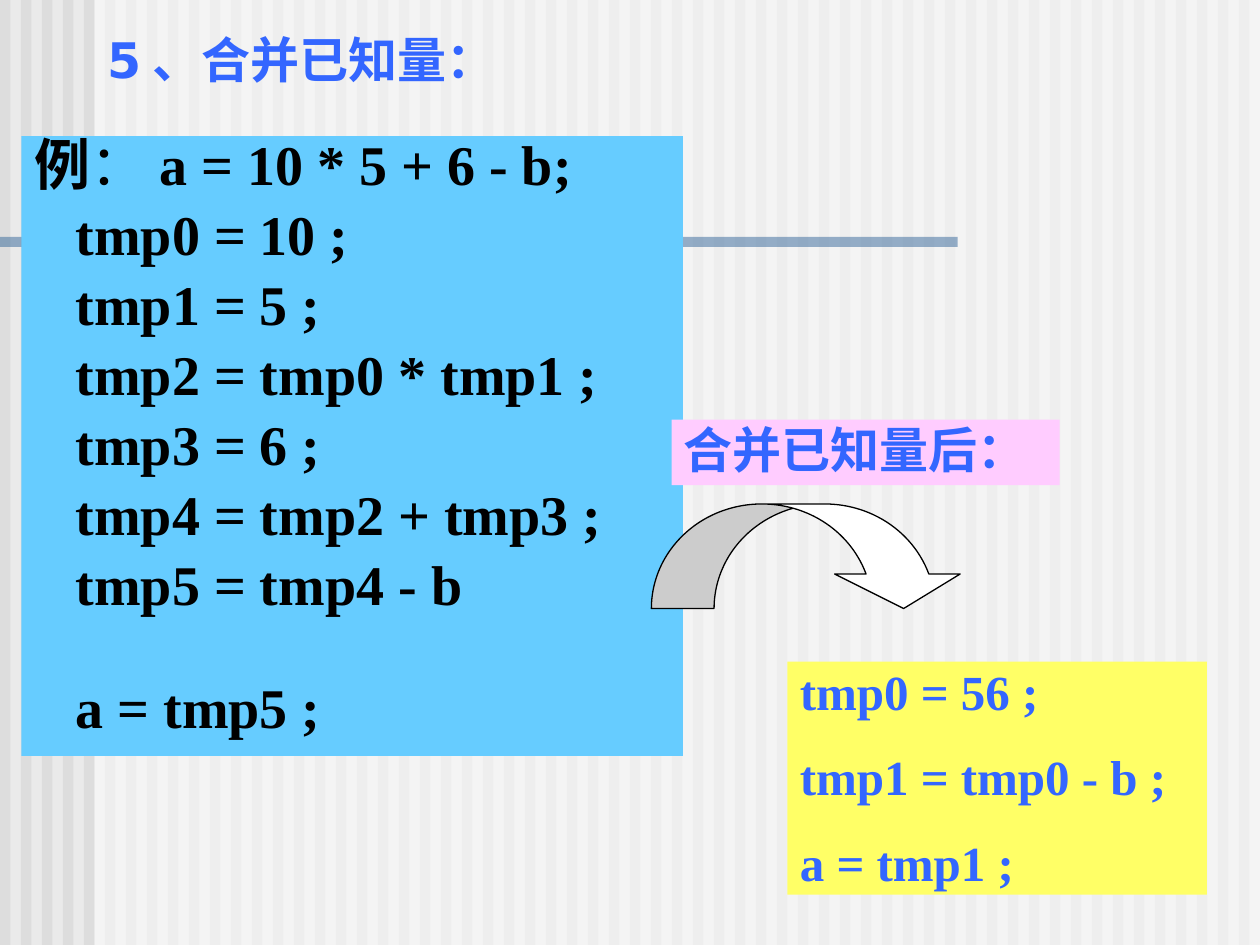
from lxml.etree import SubElement
from pptx import Presentation
from pptx.dml.color import RGBColor
from pptx.enum.shapes import MSO_SHAPE
from pptx.enum.text import MSO_ANCHOR, MSO_AUTO_SIZE, PP_ALIGN
from pptx.oxml.ns import qn
from pptx.util import Inches, Pt

BACKGROUND = RGBColor(0xEA, 0xEA, 0xEA)
STRIPE = RGBColor(0xDD, 0xDD, 0xDD)
WHITE = RGBColor(0xFF, 0xFF, 0xFF)
BLACK = RGBColor(0, 0, 0)
RULE = RGBColor(0x33, 0x66, 0x99)
SKY = RGBColor(0x66, 0xCC, 0xFF)
PINK = RGBColor(0xFF, 0xCC, 0xFF)
YELLOW = RGBColor(0xFF, 0xFF, 0x66)
BLUE = RGBColor(0x33, 0x66, 0xFF)

WIDTH, HEIGHT = 10, 7.5
STRIPES = 60
SERIF = "Times New Roman"
TITLE = "5、合并已知量："
EXAMPLE = [("例", True), ("：", False), ("a = 10 * 5 + 6 - b;", True)]
STEPS = [
    "tmp0 = 10 ;",
    "tmp1 = 5 ;",
    "tmp2 = tmp0 * tmp1 ;",
    "tmp3 = 6 ;",
    "tmp4 = tmp2 + tmp3 ;",
    "tmp5 = tmp4 - b",
    "a = tmp5 ;",
]
RESULT_LABEL = "合并已知量后："
RESULT = ["tmp0 = 56 ;", "tmp1 = tmp0 - b ;", "a = tmp1 ;"]


def place(shape, left, top, width, height):
    shape.left, shape.top = Inches(left), Inches(top)
    shape.width, shape.height = Inches(width), Inches(height)


def paint(shape, color, alpha=None):
    shape.fill.solid()
    shape.fill.fore_color.rgb = color
    if alpha is not None:
        node = next(shape.element.spPr.iter(qn("a:srgbClr")))
        SubElement(node, qn("a:alpha"), val=str(alpha * 1000))


def add_block(shapes, kind, area, color, alpha=None):
    shape = shapes.add_shape(kind, *[Inches(value) for value in area])
    paint(shape, color, alpha)
    shape.line.fill.background()
    shape.shadow.inherit = False
    return shape


def write(frame, lines, font, size, color, spacing, before, indents=None):
    frame.word_wrap = True
    frame.auto_size = MSO_AUTO_SIZE.NONE
    for index, line in enumerate(lines):
        para = frame.paragraphs[0] if index == 0 else frame.add_paragraph()
        properties = para._p.get_or_add_pPr()
        properties.set("marL", str(Inches(indents[index] if indents else 0)))
        properties.set("indent", "0")
        SubElement(properties, qn("a:buNone"))
        para.alignment = PP_ALIGN.LEFT
        para.line_spacing = spacing
        para.space_before = Pt(before if index else 0)
        for text, bold in line:
            span = para.add_run()
            span.text = text
            span.font.name = font
            span.font.size = Pt(size)
            span.font.bold = bold
            span.font.color.rgb = color


def bold_lines(texts):
    return [[(text, True)] for text in texts]


def add_backdrop(page):
    page.background.fill.solid()
    page.background.fill.fore_color.rgb = BACKGROUND
    group = page.shapes.add_group_shape()
    pitch = WIDTH / STRIPES
    for index in range(STRIPES):
        area = (index * pitch, 0, pitch / 2, HEIGHT)
        add_block(group.shapes, MSO_SHAPE.RECTANGLE, area, STRIPE)
    add_block(group.shapes, MSO_SHAPE.RECTANGLE, (0.75, 0, WIDTH - 0.75, HEIGHT), WHITE, 50)
    add_block(group.shapes, MSO_SHAPE.RECTANGLE, (0, 1.88, 7.6, 0.08), RULE, 50)


def main():
    """Build the slide on merging known quantities."""
    deck = Presentation()
    deck.slide_width, deck.slide_height = Inches(WIDTH), Inches(HEIGHT)
    page = deck.slides.add_slide(deck.slide_layouts[1])
    title, body = page.placeholders
    add_backdrop(page)
    for holder in (title, body):
        page.shapes.element.append(holder.element)

    place(title, 0.75, 0.18, 8.5, 0.57)
    title.text_frame.vertical_anchor = MSO_ANCHOR.BOTTOM
    write(title.text_frame, bold_lines([TITLE]), "DejaVu Sans", 28, BLUE, 1, 0)

    place(body, 0.17, 1.08, 5.25, 4.92)
    paint(body, SKY)
    indents = [0] + [0.33] * len(STEPS)
    write(body.text_frame, [EXAMPLE] + bold_lines(STEPS), SERIF, 32, BLACK, 0.8, 9.3, indents)
    body.text_frame.paragraphs[-1].space_before = Pt(39.7)

    for area, color, texts in (
        ((5.33, 3.33, 3.08, 0.52), PINK, [RESULT_LABEL]),
        ((6.25, 5.25, 3.33, 1.85), YELLOW, RESULT),
    ):
        box = add_block(page.shapes, MSO_SHAPE.RECTANGLE, area, color)
        box.text_frame.vertical_anchor = MSO_ANCHOR.TOP
        write(box.text_frame, bold_lines(texts), SERIF, 28, BLUE, 0.9, 18.7)

    arrow = add_block(page.shapes, MSO_SHAPE.CURVED_DOWN_ARROW, (5.17, 4, 2.5, 0.83), WHITE)
    arrow.line.color.rgb = BLACK
    arrow.line.width = Pt(0.75)
    for index, share in enumerate((0.6, 1.2, 0.33)):
        arrow.adjustments[index] = share

    deck.save("out.pptx")


if __name__ == "__main__":
    main()
